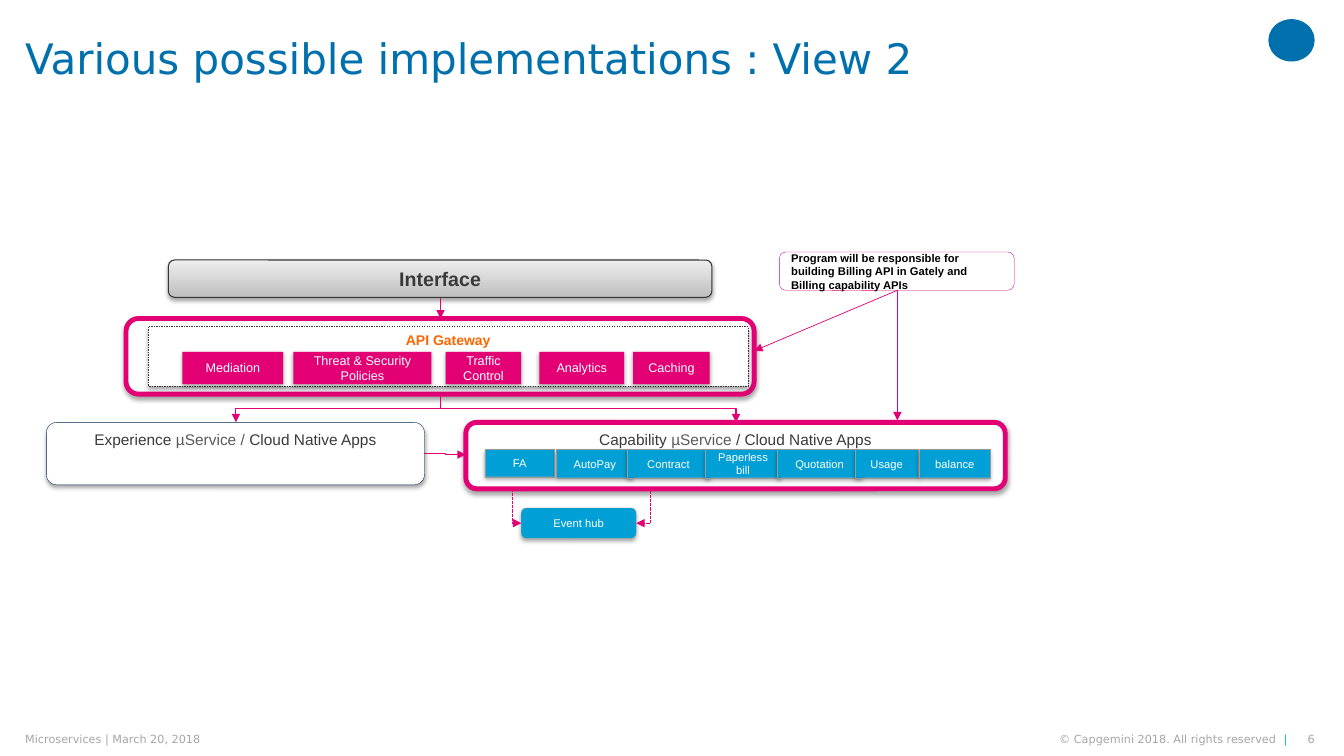
from dataclasses import dataclass
from lxml.etree import SubElement
from pptx import Presentation
from pptx.dml.color import RGBColor
from pptx.enum.dml import MSO_LINE
from pptx.enum.shapes import MSO_CONNECTOR, MSO_SHAPE
from pptx.enum.text import MSO_ANCHOR, PP_ALIGN
from pptx.oxml.ns import qn
from pptx.util import Inches, Pt


@dataclass(frozen=True)
class Theme:
    sans: str = "DejaVu Sans"
    body: str = "Arial"
    blue: str = "0070AD"
    sky: str = "12ABDB"
    cyan: str = "00A0D6"
    pink: str = "E20074"
    orange: str = "FF6600"
    navy: str = "00234B"
    white: str = "FFFFFF"
    black: str = "000000"
    ink: str = "3A3A3A"
    edge: str = "363636"
    mid: str = "595959"
    rim: str = "9A9A9A"
    pale: str = "A6A6A6"
    light: str = "EEEEEE"
    dark: str = "BFBFBF"
    title: float = 30
    head: float = 14
    panel: float = 11
    gate: float = 10
    chip: float = 9
    small: float = 8


T = Theme()
ROUND = MSO_SHAPE.ROUNDED_RECTANGLE
RECT = MSO_SHAPE.RECTANGLE


def rgb(code):
    return RGBColor.from_string(code)


def write(shape, parts, size, font=T.body, bold=False,
          align=PP_ALIGN.CENTER, anchor=MSO_ANCHOR.MIDDLE):
    """Put (text, colour) parts in one paragraph."""
    frame = shape.text_frame
    frame.word_wrap = True
    frame.vertical_anchor = anchor
    para = frame.paragraphs[0]
    para.alignment = align
    for text, color in parts:
        run = para.add_run()
        run.text = text
        run.font.name, run.font.size, run.font.bold = font, Pt(size), bold
        run.font.color.rgb = rgb(color)
    return para


def label(slide, box, parts, size, align=PP_ALIGN.LEFT):
    text = slide.shapes.add_textbox(*map(Inches, box))
    frame = text.text_frame
    frame.margin_left = frame.margin_right = 0
    frame.margin_top = frame.margin_bottom = 0
    return write(text, parts, size, T.sans, align=align)


def block(slide, box, kind, fill, line=None, width=0.25, dash=None, shade=True):
    shape = slide.shapes.add_shape(kind, *map(Inches, box))
    shape.fill.solid()
    shape.fill.fore_color.rgb = rgb(fill)
    if line:
        shape.line.color.rgb = rgb(line)
        shape.line.width = Pt(width)
        if dash:
            shape.line.dash_style = dash
    else:
        shape.line.fill.background()
    shape.shadow.inherit = False
    if shade:
        fx = shape.element.spPr.find(qn("a:effectLst"))
        cast = SubElement(fx, qn("a:outerShdw"), blurRad="40000", dist="23000",
                          dir="5400000", rotWithShape="0")
        tint = SubElement(cast, qn("a:srgbClr"), val=T.black)
        SubElement(tint, qn("a:alpha"), val="35000")
    return shape


def arrow(slide, start, end, kind=MSO_CONNECTOR.STRAIGHT, drop=False,
          corner=False, width=0.75, dash=None):
    """Join two points; drop makes an elbow leave downwards."""
    (x1, y1), (x2, y2) = start, end
    if drop:
        # An elbow leaves sideways, so lay it flat and turn it
        right = x2 > x1
        mx, my = (x1 + x2) / 2, (y1 + y2) / 2
        dx, dy = abs(x2 - x1) / 2, (y2 - y1) / 2
        side = dy if right else -dy
        x1, y1, x2, y2 = mx + side, my - dx, mx - side, my + dx
    link = slide.shapes.add_connector(kind, *map(Inches, (x1, y1, x2, y2)))
    props = link.element.spPr
    if drop:
        props.find(qn("a:xfrm")).set("rot", "16200000" if right else "5400000")
    if corner:
        props.find(qn("a:prstGeom")).set("prst", "bentConnector2")
    link.line.color.rgb = rgb(T.pink)
    link.line.width = Pt(width)
    if dash:
        link.line.dash_style = dash
    SubElement(props.find(qn("a:ln")), qn("a:tailEnd"), type="triangle")
    SubElement(props, qn("a:effectLst"))


def header(slide, box):
    x, y, w, h = box
    para = label(slide, (x, y, 12.17, h),
                 [("Various possible implementations : View 2", T.blue)], T.title)
    para.line_spacing = 0.9
    # Plain mark in the corner
    block(slide, (x + w - 0.5, 0.19, 0.46, 0.42), MSO_SHAPE.OVAL, T.blue, shade=False)


def footer(slide, box):
    x, y, w, h = box
    label(slide, (x, y, 5.16, h),
          [("Microservices | March 20, 2018", T.pale)], T.small)
    label(slide, (x + 9.61, y, 2.91, h),
          [("© Capgemini 2018. All rights reserved  ", T.pale), ("|", T.sky)],
          T.small, PP_ALIGN.RIGHT)
    label(slide, (x + w - 0.23, y, 0.19, h), [("6", T.pale)], T.small, PP_ALIGN.RIGHT)


def banner(slide, box):
    bar = block(slide, box, ROUND, T.light, T.edge, 0.75)
    bar.fill.gradient()
    bar.fill.gradient_angle = 90
    for stop, color in zip(bar.fill.gradient_stops, (T.dark, T.light)):
        stop.color.rgb = rgb(color)
    write(bar, [("Interface", T.ink)], T.head, bold=True)


def gateway(slide, box):
    x, y, w, h = box
    block(slide, box, ROUND, T.white, T.pink, 3.5)
    inner = block(slide, (x + 0.22, y + 0.08, w - 0.28, h - 0.16), RECT,
                  T.white, T.edge, dash=MSO_LINE.DASH)
    write(inner, [("API Gateway", T.orange)], T.gate, bold=True, anchor=MSO_ANCHOR.TOP)
    # Policies: name, offset, width
    for name, left, wide in (("Mediation", 0.56, 1), ("Threat & Security Policies", 1.66, 1.37),
                             ("Traffic Control", 3.17, 0.75), ("Analytics", 4.1, 0.84),
                             ("Caching", 5.03, 0.76)):
        chip = block(slide, (x + left, y + 0.33, wide, 0.32), RECT, T.pink)
        write(chip, [(name, T.white)], T.chip)


def panel(slide, box, parts, line, width):
    shape = block(slide, box, ROUND, T.white, line, width)
    write(shape, parts, T.panel, anchor=MSO_ANCHOR.TOP)


def tile(slide, box, name, kind=RECT):
    shape = block(slide, box, kind, T.cyan, T.rim, dash=MSO_LINE.ROUND_DOT)
    write(shape, [(name, T.white)], T.small)


def services(slide, box):
    x, y, w, h = box
    panel(slide, box, [("Capability ", T.ink), ("µService ", T.mid),
                       ("/ Cloud Native Apps", T.ink)], T.pink, 3.5)
    # Services: name, offset, width
    for name, left, wide in (("FA", 0.19, 0.69), ("AutoPay", 0.9, 0.76),
                             ("Contract", 1.6, 0.82), ("Paperless bill", 2.37, 0.76),
                             ("Quotation", 3.09, 0.84), ("Usage", 3.86, 0.63),
                             ("balance", 4.5, 0.7)):
        tall = 0.27 if name == "FA" else 0.28
        tile(slide, (x + left, y + 0.27, wide, tall), name)


def note(slide, box):
    shape = block(slide, box, MSO_SHAPE.ROUNDED_RECTANGULAR_CALLOUT,
                  T.white, T.pink, shade=False)
    for i, value in enumerate((-0.26, 0.51, 0.17)):
        shape.adjustments[i] = value
    write(shape, [("Program will be responsible for building Billing API in Gately "
                   "and Billing capability APIs", T.black)],
          T.small, bold=True, align=PP_ALIGN.LEFT)


def flows(slide):
    elbow = MSO_CONNECTOR.ELBOW
    arrow(slide, (4.37, 2.96), (4.37, 3.16))
    # Gateway to both app groups
    for x in (2.34, 7.3):
        arrow(slide, (4.37, 3.91), (x, 4.19), elbow, drop=True)
    arrow(slide, (4.21, 4.5), (4.62, 4.51), elbow)
    # Services to the event hub
    for start, x in (((5.08, 4.85), 5.17), ((6.45, 4.87), 6.31)):
        arrow(slide, start, (x, 5.19), elbow, drop=True, corner=True,
              dash=MSO_LINE.SQUARE_DOT)
    # Note to its two targets
    for end in ((8.9, 4.17), (7.48, 3.48)):
        arrow(slide, (8.9, 2.88), end, width=0.5)


def main():
    deck = Presentation()
    deck.slide_width, deck.slide_height = Inches(13.33), Inches(7.5)
    slide = deck.slides.add_slide(deck.slide_layouts[6])
    header(slide, (0.25, 0, 12.83, 1.21))
    footer(slide, (0.25, 7.27, 12.83, 0.13))
    banner(slide, (1.67, 2.58, 5.39, 0.37))
    gateway(slide, (1.25, 3.16, 6.23, 0.75))
    panel(slide, (0.46, 4.19, 3.75, 0.62),
          [("Experience ", T.ink), ("µService /", T.mid),
           (" Cloud Native Apps", T.ink)], T.navy, 0.25)
    services(slide, (4.62, 4.19, 5.35, 0.66))
    tile(slide, (5.17, 5.04, 1.14, 0.3), "Event hub", ROUND)
    note(slide, (7.73, 2.5, 2.33, 0.38))
    flows(slide)
    deck.save("out.pptx")


if __name__ == "__main__":
    main()
